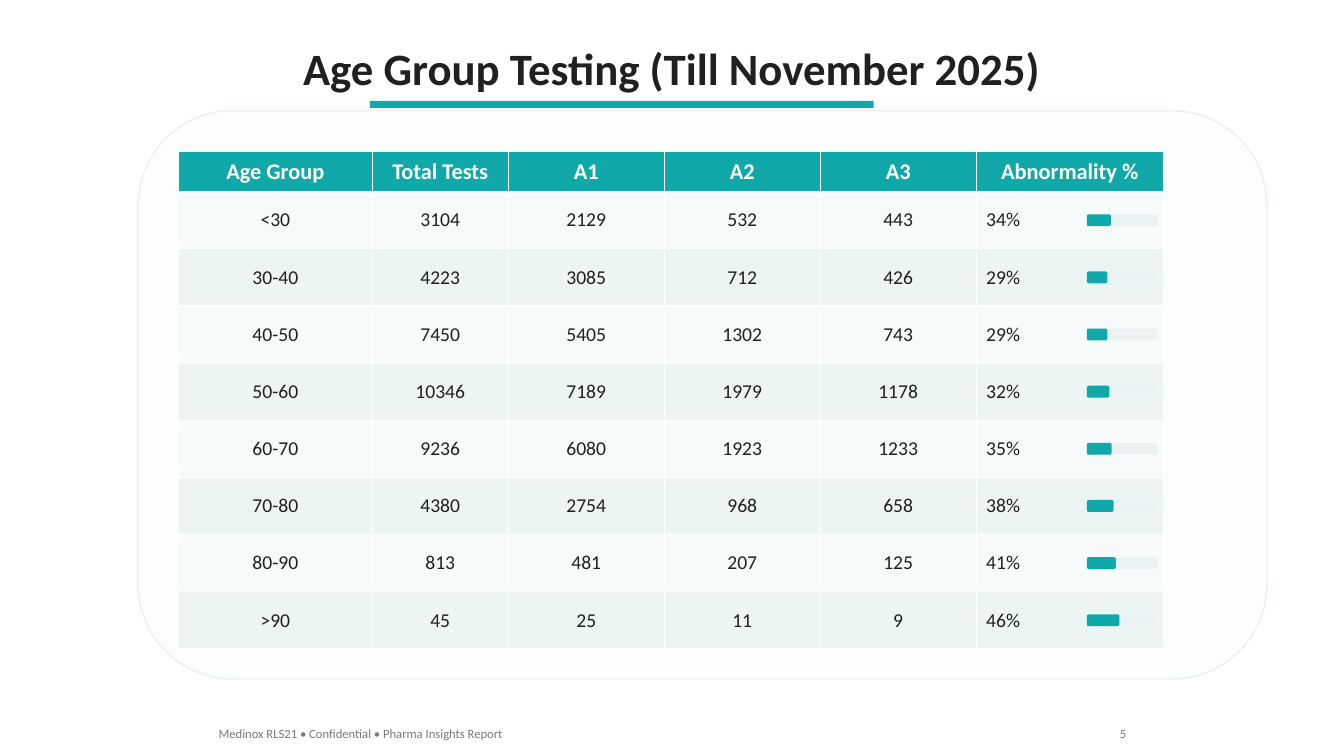
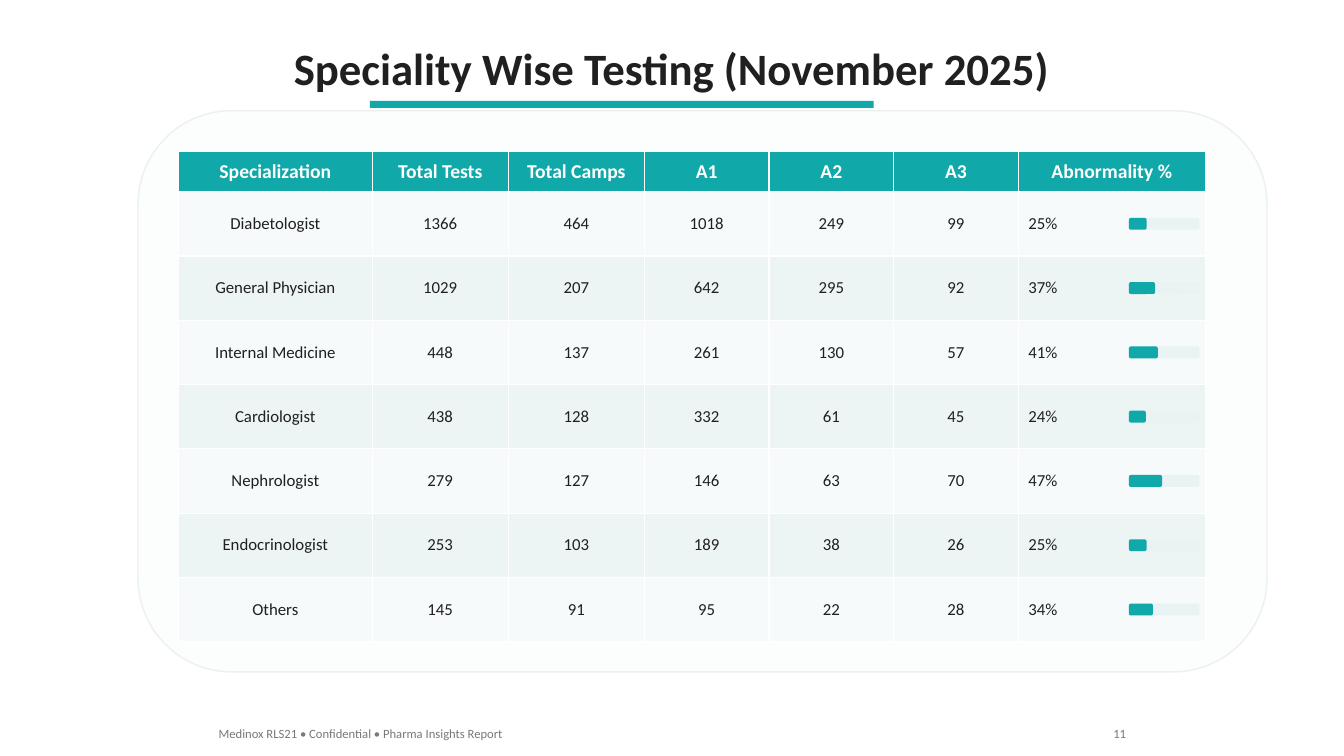
from pptx import Presentation
from pptx.dml.color import RGBColor
from pptx.enum.shapes import MSO_SHAPE as Preset
from pptx.enum.text import MSO_ANCHOR as Anchor, MSO_AUTO_SIZE as AutoSize, PP_ALIGN as Align
from pptx.util import Cm, Pt

COLORS = {
    "teal": "10A8A8",
    "ink": "202020",
    "white": "FFFFFF",
    "footer": "787878",
    "panel": "FCFDFD",
    "panel_edge": "EBF0F0",
    "row_light": "F6FAFA",
    "row_tint": "ECF4F4",
    "track": "EAF3F3",
}
FONT = "Calibri"
FOOTER = "Medinox RLS21 • Confidential • Pharma Insights Report"

TABLE_LEFT, TABLE_TOP = 4.5, 3.81
HEADER_HEIGHT = 1.02
PANEL_MARGIN = 1.02
BAR_WIDTH, BAR_HEIGHT, BAR_INSET = 1.78, 0.3, 1.93

reports = [
    {
        "title": "Age Group Testing (Till November 2025)",
        "page": "5",
        "header_size": 16,
        "body_size": 14,
        "row_height": 1.44,
        "columns": [4.88, 3.43, 3.93, 3.93, 3.93, 4.72],
        "rows": [
            ["Age Group", "Total Tests", "A1", "A2", "A3", "Abnormality %"],
            ["<30", "3104", "2129", "532", "443", "34%"],
            ["30-40", "4223", "3085", "712", "426", "29%"],
            ["40-50", "7450", "5405", "1302", "743", "29%"],
            ["50-60", "10346", "7189", "1979", "1178", "32%"],
            ["60-70", "9236", "6080", "1923", "1233", "35%"],
            ["70-80", "4380", "2754", "968", "658", "38%"],
            ["80-90", "813", "481", "207", "125", "41%"],
            [">90", "45", "25", "11", "9", "46%"],
        ],
    },
    {
        "title": "Speciality Wise Testing (November 2025)",
        "page": "11",
        "header_size": 14,
        "body_size": 12,
        "row_height": 1.62,
        "columns": [4.88, 3.43, 3.43, 3.14, 3.14, 3.14, 4.72],
        "rows": [
            ["Specialization", "Total Tests", "Total Camps", "A1", "A2", "A3", "Abnormality %"],
            ["Diabetologist", "1366", "464", "1018", "249", "99", "25%"],
            ["General Physician", "1029", "207", "642", "295", "92", "37%"],
            ["Internal Medicine", "448", "137", "261", "130", "57", "41%"],
            ["Cardiologist", "438", "128", "332", "61", "45", "24%"],
            ["Nephrologist", "279", "127", "146", "63", "70", "47%"],
            ["Endocrinologist", "253", "103", "189", "38", "26", "25%"],
            ["Others", "145", "91", "95", "22", "28", "34%"],
        ],
    },
]


def write(frame, text, size, color, align=Align.LEFT, bold=False):
    paragraph = frame.paragraphs[0]
    paragraph.alignment = align
    run = paragraph.add_run()
    run.text = text
    run.font.name = FONT
    run.font.size = Pt(size)
    run.font.bold = bold
    run.font.color.rgb = RGBColor.from_string(COLORS[color])


def draw(slide, preset, left, top, width, height, fill, edge=None):
    shape = slide.shapes.add_shape(preset, Cm(left), Cm(top), Cm(width), Cm(height))
    shape.shadow.inherit = False
    shape.fill.solid()
    shape.fill.fore_color.rgb = RGBColor.from_string(COLORS[fill])
    if edge:
        shape.line.color.rgb = RGBColor.from_string(COLORS[edge])
        shape.line.width = Pt(1)
    else:
        shape.line.fill.background()


prs = Presentation()
prs.slide_width, prs.slide_height = Cm(33.87), Cm(19.05)
title_only = prs.slide_layouts[5]

for report in reports:
    slide = prs.slides.add_slide(title_only)
    rows, columns = report["rows"], report["columns"]
    row_height = report["row_height"]
    table_width = sum(columns)
    table_height = HEADER_HEIGHT + row_height * (len(rows) - 1)

    title = slide.shapes.title
    title.left, title.top, title.width, title.height = Cm(4.43), Cm(0.89), Cm(25), Cm(1.63)
    title.text_frame.auto_size = AutoSize.NONE
    title.text_frame.vertical_anchor = Anchor.TOP
    write(title.text_frame, report["title"], 32, "ink", Align.CENTER, True)

    draw(slide, Preset.RECTANGLE, 9.32, 2.54, 12.7, 0.18, "teal")
    draw(slide, Preset.ROUNDED_RECTANGLE, TABLE_LEFT - PANEL_MARGIN, TABLE_TOP - PANEL_MARGIN,
         28.45, table_height + 1.78, "panel", "panel_edge")

    table = slide.shapes.add_table(len(rows), len(columns), Cm(TABLE_LEFT), Cm(TABLE_TOP),
                                   Cm(table_width), Cm(table_height)).table
    for column, width in zip(table.columns, columns):
        column.width = Cm(width)

    for r, values in enumerate(rows):
        is_header = r == 0
        table.rows[r].height = Cm(HEADER_HEIGHT if is_header else row_height)
        row_fill = "teal" if is_header else "row_light" if r % 2 else "row_tint"
        for c, value in enumerate(values):
            cell = table.cell(r, c)
            cell.vertical_anchor = Anchor.MIDDLE
            cell.fill.solid()
            cell.fill.fore_color.rgb = RGBColor.from_string(COLORS[row_fill])
            is_percent = not is_header and c == len(columns) - 1
            write(cell.text_frame, value,
                  report["header_size"] if is_header else report["body_size"],
                  "white" if is_header else "ink",
                  Align.LEFT if is_percent else Align.CENTER, is_header)

    bar_left = TABLE_LEFT + table_width - BAR_INSET
    for r, values in enumerate(rows[1:]):
        bar_top = TABLE_TOP + HEADER_HEIGHT + (r + 0.5) * row_height - BAR_HEIGHT / 2
        share = int(values[-1].rstrip("%")) / 100
        for width, fill in [(BAR_WIDTH, "track"), (BAR_WIDTH * share, "teal")]:
            draw(slide, Preset.ROUNDED_RECTANGLE, bar_left, bar_top, width, BAR_HEIGHT, fill)

    for text, left, width, align in [(FOOTER, 5.26, 12, Align.LEFT),
                                     (report["page"], 26.63, 2, Align.RIGHT)]:
        footer = slide.shapes.add_textbox(Cm(left), Cm(18.16), Cm(width), Cm(0.64))
        footer.text_frame.word_wrap = True
        write(footer.text_frame, text, 9, "footer", align)

prs.save("out.pptx")
